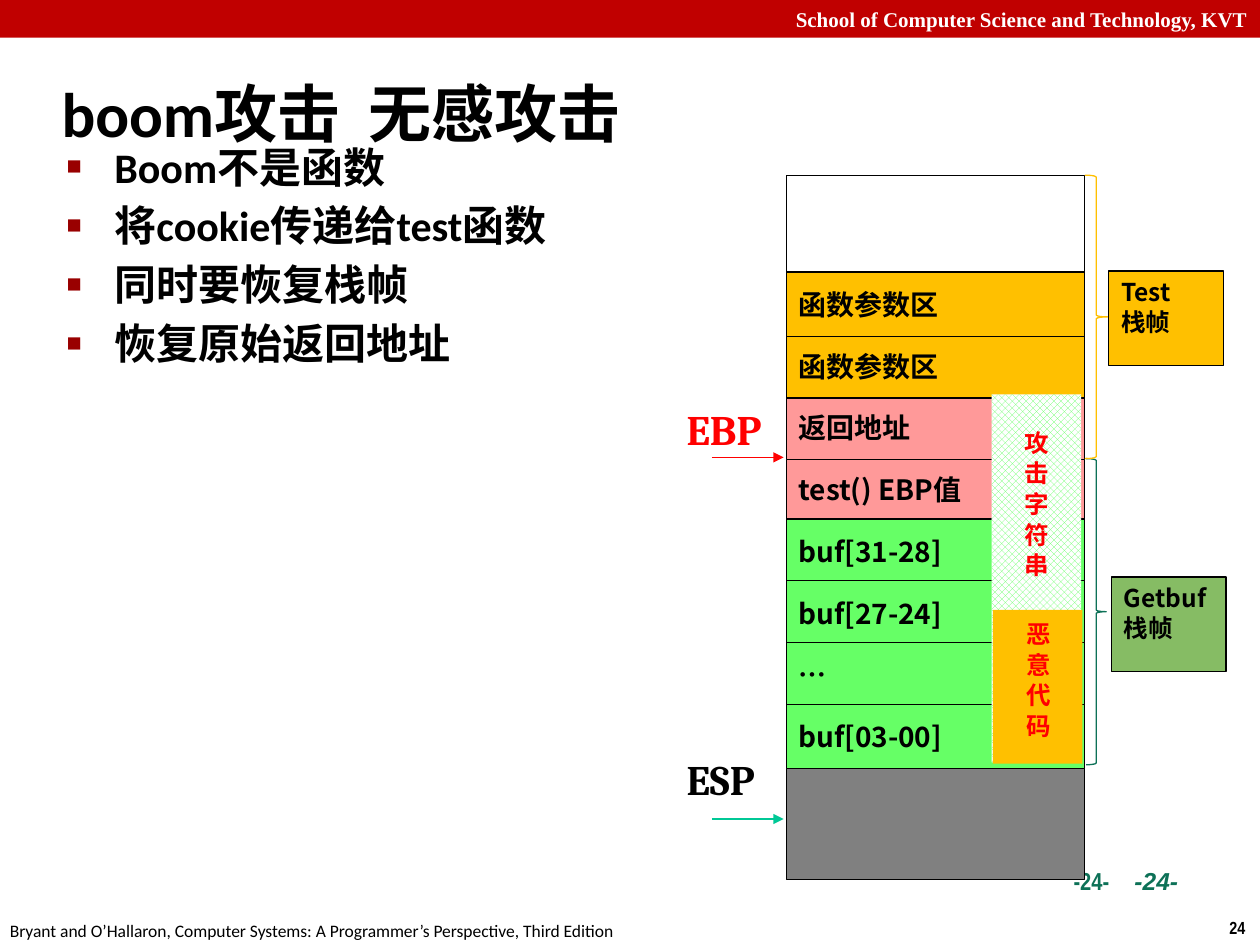
import pptx
import pptx.util
import pptx.dml.color
import pptx.enum.dml
import pptx.enum.shapes
import pptx.enum.text
import pptx.oxml.ns
import lxml.etree

Inches, Pt = pptx.util.Inches, pptx.util.Pt
RGB = pptx.dml.color.RGBColor
SHAPE = pptx.enum.shapes.MSO_SHAPE
ALIGN = pptx.enum.text.PP_ALIGN
ANCHOR = pptx.enum.text.MSO_ANCHOR
qn = pptx.oxml.ns.qn

BLACK, WHITE, RED = RGB(0, 0, 0), RGB(255, 255, 255), RGB(255, 0, 0)
CRIMSON, BULLET = RGB(0xC0, 0, 0), "990000"
TEAL, MINT = RGB(0x0D, 0x71, 0x57), RGB(0, 0xC8, 0x96)
AMBER, PINK, GREEN = RGB(0xFF, 0xC0, 0), RGB(0xFF, 0x99, 0x99), RGB(0x66, 0xFF, 0x66)
GRAY, OLIVE = RGB(0x80, 0x80, 0x80), RGB(0x86, 0xBC, 0x64)
CJK = "Noto Sans CJK SC"

# Content
HEADER = "School of Computer Science and Technology, KVT"
FOOTER = "Bryant and O’Hallaron, Computer Systems: A Programmer’s Perspective, Third Edition"
TITLE = "boom攻击  无感攻击"
POINTS = ["Boom不是函数", "将cookie传递给test函数", "同时要恢复栈帧", "恢复原始返回地址"]
STACK_ROWS = [
    ("函数参数区", AMBER), ("函数参数区", AMBER), ("返回地址", PINK), ("test() EBP值", PINK),
    ("buf[31-28]", GREEN), ("buf[27-24]", GREEN), ("…", GREEN), ("buf[03-00]", GREEN),
]
# name, colour, label top, label width, arrow y, arrow colour
POINTERS = [("EBP", RED, 3.15, 0.88, 3.63, RED), ("ESP", BLACK, 5.93, 0.89, 6.5, MINT)]
# text, fill, label left and top, brace colour, brace place
FRAMES = [
    ("Getbuf栈帧", OLIVE, (8.82, 4.58), TEAL, (8.62, 3.64, 0.16, 2.43)),
    ("Test\n栈帧", AMBER, (8.8, 2.15), AMBER, (8.61, 1.39, 0.18, 2.25)),
]

# Stack grid
STACK_LEFT, STACK_WIDTH = 6.24, 2.37
ROW_TOP, ROW_PITCH, ROW_HEIGHT = 2.16, 0.49, 0.51
FIRST_CALLEE_ROW = 3

deck = pptx.Presentation()
deck.slide_width, deck.slide_height = Inches(10), Inches(7.5)
slide = deck.slides.add_slide(deck.slide_layouts[6])


def write(shape, text, size, font, color=BLACK, bold=True, italic=False,
          align=ALIGN.LEFT, anchor=ANCHOR.TOP, wrap=True):
    frame = shape.text_frame
    frame.text = text
    frame.word_wrap = wrap
    frame.vertical_anchor = anchor
    for paragraph in frame.paragraphs:
        paragraph.alignment = align
        for run in paragraph.runs:
            run.font.size, run.font.name = Pt(size), font
            run.font.bold, run.font.italic = bold, italic
            run.font.color.rgb = color
            east_asian = lxml.etree.Element(qn("a:ea"), typeface=CJK)
            run.font._element.find(qn("a:latin")).addnext(east_asian)
    return frame


def label(place, *text, **style):
    return write(slide.shapes.add_textbox(*map(Inches, place)), *text, **style)


def block(place, fill=None, line=None, kind=SHAPE.RECTANGLE):
    shape = slide.shapes.add_shape(kind, *map(Inches, place))
    shape.shadow.inherit = False
    if fill is None:
        shape.fill.background()
    else:
        shape.fill.solid()
        shape.fill.fore_color.rgb = fill
    if line is None:
        shape.line.fill.background()
    else:
        shape.line.color.rgb = line
        shape.line.width = Pt(0.75)
    return shape


def arrow(y, color):
    line = slide.shapes.add_connector(pptx.enum.shapes.MSO_CONNECTOR.STRAIGHT,
                                      Inches(5.65), Inches(y), Inches(6.22), Inches(y))
    line.line.color.rgb, line.line.width = color, Pt(0.75)
    lxml.etree.SubElement(line.line._get_or_add_ln(), qn("a:tailEnd"), type="triangle")
    lxml.etree.SubElement(line._element.spPr, qn("a:effectLst"))


def vertical(frame):
    frame._txBody.bodyPr.set("vert", "eaVert")


# Page furniture
label((9.66, 7.23, 0.34, 0.27), "24", 10, "Arial Narrow", wrap=False)
label((-0.02, 7.25, 5.08, 0.27), FOOTER, 10, "Calibri", bold=False, wrap=False)
write(block((0, 0, 10, 0.3), CRIMSON), HEADER, 12, "Times New Roman", WHITE,
      align=ALIGN.RIGHT, anchor=ANCHOR.MIDDLE)

# Title and bullet points
label((0.39, 0.48, 9.61, 0.83), TITLE, 36, "Calibri", anchor=ANCHOR.MIDDLE)
points = label((0.43, 1.07, 4.33, 5.51), "\n".join(POINTS), 24, "Calibri")
for point in points.paragraphs:
    props = point._p.get_or_add_pPr()
    props.set("marL", str(Inches(0.38)))
    props.set("indent", str(-Inches(0.38)))
    before = lxml.etree.SubElement(props, qn("a:spcBef"))
    lxml.etree.SubElement(before, qn("a:spcPct"), val="20000")
    bullet_color = lxml.etree.SubElement(props, qn("a:buClr"))
    lxml.etree.SubElement(bullet_color, qn("a:srgbClr"), val=BULLET)
    lxml.etree.SubElement(props, qn("a:buSzPct"), val="60000")
    lxml.etree.SubElement(props, qn("a:buFont"), typeface="Arial")
    lxml.etree.SubElement(props, qn("a:buChar"), char="■")

# Inner page marks
MARK = (8.39, 6.82, 1.11, 0.52)
for font, italic, align in [("Arial Narrow", False, ALIGN.LEFT), ("Arial", True, ALIGN.RIGHT)]:
    mark = label(MARK, "-24-", 14, font, TEAL, italic=italic, align=align)
    mark.margin_left = Inches(0.13)
    mark.margin_right = Inches(0.15)

# Stack: unused areas, then rows from the frame boundary down, then up
block((STACK_LEFT, 3.64, STACK_WIDTH, 3.34), GRAY, BLACK)
block((STACK_LEFT, 1.39, STACK_WIDTH, 2.25), WHITE, BLACK)
row_order = [*range(FIRST_CALLEE_ROW, len(STACK_ROWS)), *reversed(range(FIRST_CALLEE_ROW))]
for index in row_order:
    text, fill = STACK_ROWS[index]
    row = block((STACK_LEFT, ROW_TOP + index * ROW_PITCH, STACK_WIDTH, ROW_HEIGHT), fill, BLACK)
    write(row, text, 16, CJK, anchor=ANCHOR.MIDDLE)

# Stack pointers
for name, color, top, width, arrow_y, arrow_color in POINTERS:
    label((5.35, top, width, 0.5), name, 24, "Cambria", color)
    arrow(arrow_y, arrow_color)

# Stack frames with braces
for text, fill, corner, brace_color, brace_place in FRAMES:
    block(brace_place, line=brace_color, kind=SHAPE.RIGHT_BRACE)
    write(block((*corner, 0.91, 0.75), fill, BLACK), text, 14, CJK)

# Attack string and the malicious code inside it
attack = block((7.87, 3.13, 0.71, 2.92))
attack.fill.patterned()
attack.fill.pattern = pptx.enum.dml.MSO_PATTERN.LARGE_CHECKER_BOARD
attack.fill.fore_color.rgb, attack.fill.back_color.rgb = GREEN, WHITE
attack_text = write(attack, "攻 击 字 符 串", 14, CJK, RED, anchor=ANCHOR.MIDDLE)
attack_text.paragraphs[0]._p.get_or_add_pPr().set("marL", str(Inches(0.19)))
vertical(attack_text)
vertical(write(block((7.88, 4.84, 0.71, 1.22), AMBER), "恶 意 代 码", 14, CJK, RED,
               align=ALIGN.CENTER, anchor=ANCHOR.MIDDLE))

deck.save("out.pptx")
